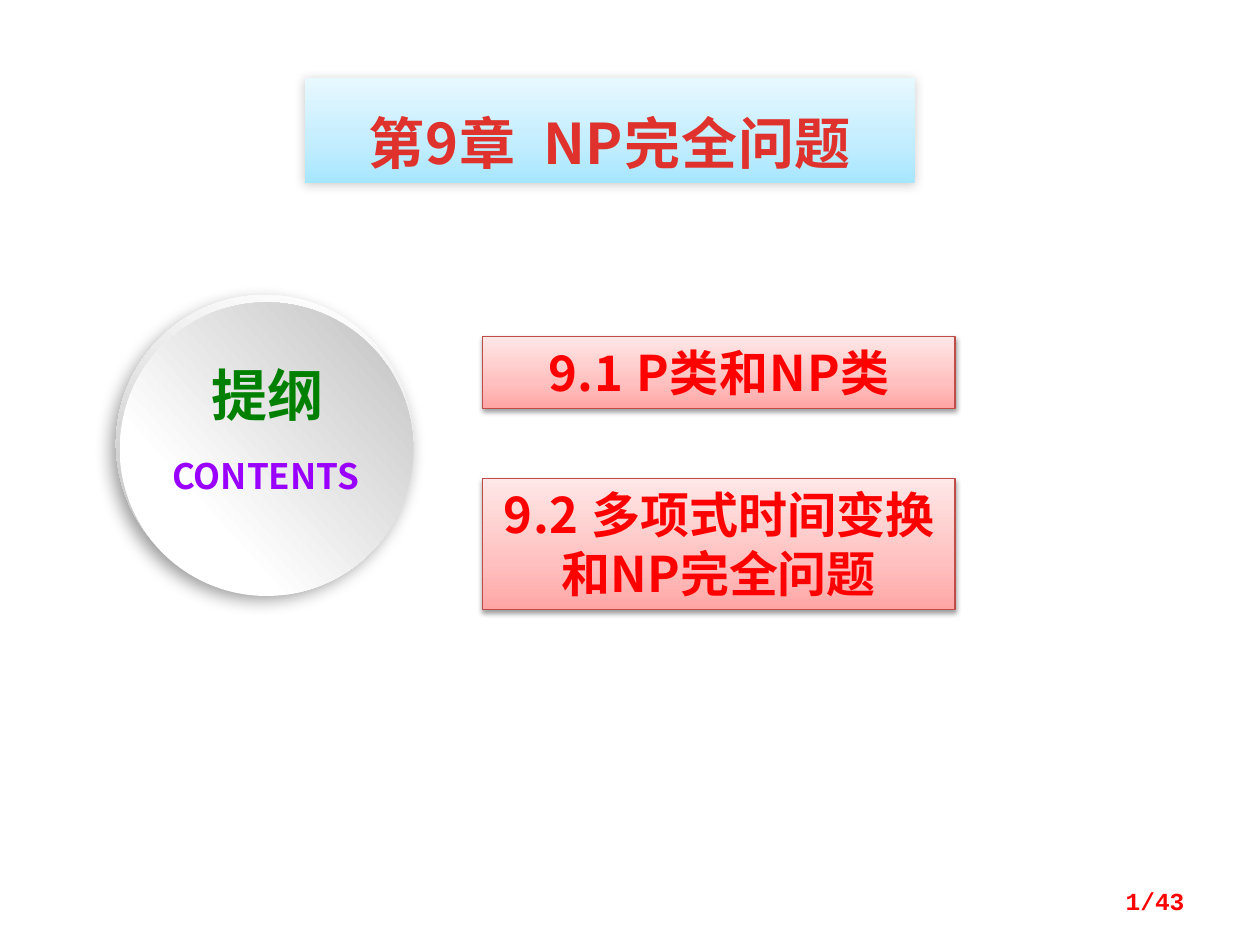
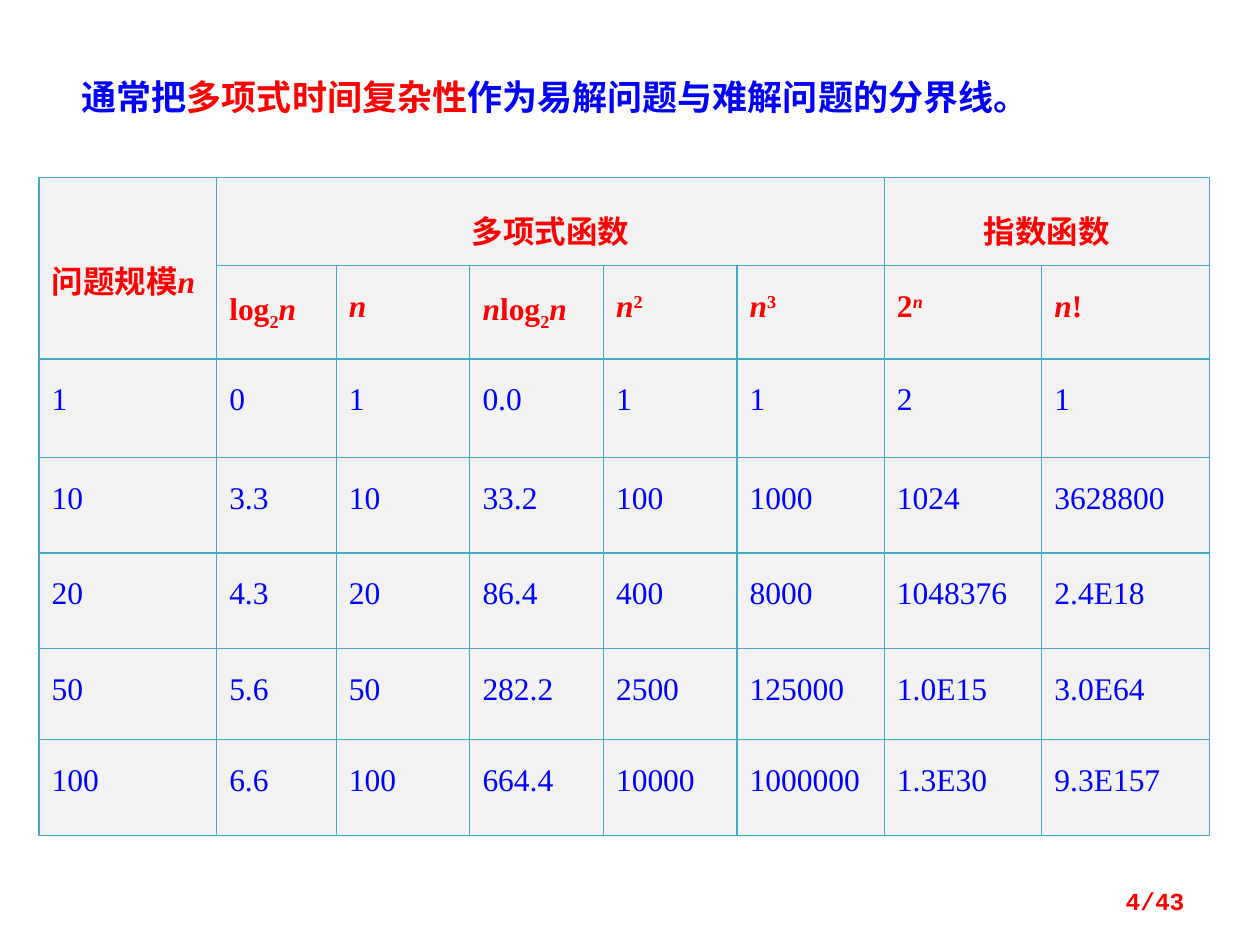
from lxml import etree
from pptx import Presentation
from pptx.dml.color import RGBColor
from pptx.enum.shapes import MSO_SHAPE
from pptx.enum.text import MSO_ANCHOR, MSO_AUTO_SIZE, PP_ALIGN
from pptx.oxml.ns import qn
from pptx.util import Inches, Pt

RECT, OVAL = MSO_SHAPE.RECTANGLE, MSO_SHAPE.OVAL
TOP, MIDDLE = MSO_ANCHOR.TOP, MSO_ANCHOR.MIDDLE
FIT = MSO_AUTO_SIZE.SHAPE_TO_FIT_TEXT
LEFT, CENTER, RIGHT, JUSTIFY = (
    PP_ALIGN.LEFT, PP_ALIGN.CENTER, PP_ALIGN.RIGHT, PP_ALIGN.JUSTIFY)

SANS, SERIF, MONO = "Noto Sans CJK SC", "Times New Roman", "Courier New"
RED, BLUE, GREEN, PURPLE = "FF0000", "0000FF", "008000", "9900FF"
TITLE_RED, CELL_GREY, GRID_TEAL = "E0322D", "F2F2F2", "46AAC5"
SKY_GRADIENT = [(0, "A7E6FF"), (35, "C1EDFF"), (100, "E7F8FF")]
ROSE_GRADIENT = [(0, "FFA6A5"), (35, "FFC0BF"), (100, "FFE7E7")]
PAGE_TOTAL = 43

HEADING = {"name": SANS, "size": 32, "bold": True, "color": TITLE_RED, "spc": 0.5}
SECTION = {"name": SANS, "size": 28, "bold": True, "color": RED, "spc": 0.5}
STATEMENT = {"name": SANS, "size": 20, "bold": True, "color": BLUE}
PAGE = {"name": MONO, "size": 14, "bold": True, "color": RED}
TABLE_HEAD = {"name": SERIF, "ea": SANS, "size": 18, "bold": True, "color": RED}
TABLE_BODY = {"name": SERIF, "size": 18, "bold": False, "color": BLUE}

ITALIC_N = ("n", {"italic": True})
LOG2 = [("log", {}), ("2", {"baseline": -25})]
FUNCTIONS = [
    LOG2 + [ITALIC_N],
    [ITALIC_N],
    [ITALIC_N] + LOG2 + [ITALIC_N],
    [ITALIC_N, ("2", {"baseline": 30})],
    [ITALIC_N, ("3", {"baseline": 30})],
    [("2", {}), ("n", {"italic": True, "baseline": 30})],
    [ITALIC_N, ("!", {})],
]
GROWTH = [
    ["1", "0", "1", "0.0", "1", "1", "2", "1"],
    ["10", "3.3", "10", "33.2", "100", "1000", "1024", "3628800"],
    ["20", "4.3", "20", "86.4", "400", "8000", "1048376", "2.4E18"],
    ["50", "5.6", "50", "282.2", "2500", "125000", "1.0E15", "3.0E64"],
    ["100", "6.6", "100", "664.4", "10000", "1000000", "1.3E30", "9.3E157"],
]
COLUMN_WIDTHS = [1.41, 0.95, 1.06, 1.06, 1.06, 1.17, 1.25, 1.33]
ROW_HEIGHTS = [0.7, 0.74, 0.78, 0.76, 0.76, 0.72, 0.76]


def rgb(value):
    """Turn a hex string into a colour."""
    return RGBColor.from_string(value)


def inches(box):
    """Turn a box of plain numbers into lengths."""
    return [Inches(length) for length in box]


def add_color(parent, value):
    """Append an RGB colour element and return it."""
    return etree.SubElement(parent, qn("a:srgbClr"), val=value)


def write(frame, runs, base, align=LEFT, line_spacing=None):
    """Write one paragraph of (text, format changes) runs."""
    paragraph = frame.paragraphs[0]
    paragraph.alignment = align
    if line_spacing:
        paragraph.line_spacing = line_spacing
    for text, changes in runs:
        style = {**base, **changes}
        run = paragraph.add_run()
        run.text = text
        font = run.font
        font.size = Pt(style["size"])
        font.color.rgb = rgb(style["color"])
        for attribute in ("name", "bold", "italic"):
            setattr(font, attribute, style.get(attribute))
        properties = run._r.get_or_add_rPr()
        etree.SubElement(properties, qn("a:ea"),
                         typeface=style.get("ea", style["name"]))
        for attribute, scale in (("baseline", 1000), ("spc", 100)):
            if attribute in style:
                properties.set(attribute, str(int(style[attribute] * scale)))


def add_label(slide, box, runs, base, align=LEFT, anchor=TOP):
    """Add a wrapped text box."""
    frame = slide.shapes.add_textbox(*inches(box)).text_frame
    frame.word_wrap = True
    frame.vertical_anchor = anchor
    write(frame, runs, base, align)


def add_shaded(slide, kind, box, stops, angle, shadow=None):
    """Add a shape with a gradient and an optional shadow."""
    shape = slide.shapes.add_shape(kind, *inches(box))
    shape.shadow.inherit = False
    shape.line.fill.background()
    shape.fill.gradient()
    shape.fill.gradient_angle = 360 - angle
    properties = shape._element.spPr
    stop_list = properties.find(qn("a:gradFill")).find(qn("a:gsLst"))
    for stop in list(stop_list):
        stop_list.remove(stop)
    for position, value in stops:
        add_color(etree.SubElement(stop_list, qn("a:gs"), pos=str(position * 1000)), value)
    if shadow:
        alpha, blur, distance, direction = shadow
        outer = etree.SubElement(
            properties.find(qn("a:effectLst")), qn("a:outerShdw"),
            blurRad=str(Pt(blur)), dist=str(Pt(distance)),
            dir=str(direction * 60000), algn="ctr", rotWithShape="0")
        etree.SubElement(add_color(outer, "000000"), qn("a:alpha"), val=str(alpha * 1000))
    return shape


def add_panel(slide, box, stops, shadow, runs, base, top_inset=0.05):
    """Add a gradient panel with centred text."""
    panel = add_shaded(slide, RECT, box, stops, 270, shadow)
    frame = panel.text_frame
    frame.word_wrap = True
    frame.auto_size = FIT
    frame.vertical_anchor = TOP
    frame.margin_top = Inches(top_inset)
    write(frame, runs, base, CENTER)
    return panel


def add_section(slide, box, runs):
    """Add an outlined section panel."""
    panel = add_panel(slide, box, ROSE_GRADIENT, (38, 3.1, 1.6, 90), runs, SECTION)
    panel.line.color.rgb = rgb("BF4C48")
    panel.line.width = Pt(0.75)


def add_contents_disc(slide, left, top):
    """Add the layered disc with its two captions."""
    rim = add_shaded(slide, OVAL, (left, top, 2.36, 2.36),
                     [(17, "FFFFFF"), (88, "B8B8B8")], 45, (39, 10, 5, 123))
    rim.rotation = 62.3
    face = add_shaded(slide, OVAL, (left + 0.03, top + 0.06, 2.33, 2.33),
                      [(29, "FFFFFF"), (98, "BFBFBF")], 45)
    face.rotation = 273
    caption = {"name": SANS, "bold": True}
    add_label(slide, (left + 0.27, top + 1.22, 1.84, 0.44), [("CONTENTS", {})],
              {**caption, "size": 20, "color": PURPLE}, CENTER)
    add_label(slide, (left + 0.43, top + 0.47, 1.54, 0.64), [("提纲", {})],
              {**caption, "size": 32, "color": GREEN}, CENTER)


def add_page_number(slide, number):
    """Add the page counter."""
    add_label(slide, (7.17, 6.95, 2.33, 0.4), [(f"{number}/{PAGE_TOTAL}", {})],
              PAGE, RIGHT, MIDDLE)


def style_cell(cell):
    """Give a cell its fill and four borders."""
    properties = cell._tc.get_or_add_tcPr()
    for side in ("lnL", "lnR", "lnT", "lnB"):
        border = etree.SubElement(properties, qn(f"a:{side}"), w=str(Pt(0.75)))
        add_color(etree.SubElement(border, qn("a:solidFill")), GRID_TEAL)
    cell.fill.solid()
    cell.fill.fore_color.rgb = rgb(CELL_GREY)


def add_growth_table(slide, left, top):
    """Add the table of growth rates."""
    box = (left, top, sum(COLUMN_WIDTHS), sum(ROW_HEIGHTS))
    table = slide.shapes.add_table(
        len(ROW_HEIGHTS), len(COLUMN_WIDTHS), *inches(box)).table
    table.first_row = table.horz_banding = False
    for column, width in zip(table.columns, COLUMN_WIDTHS):
        column.width = Inches(width)
    for row, height in zip(table.rows, ROW_HEIGHTS):
        row.height = Inches(height)
    for cell in table.iter_cells():
        style_cell(cell)
    for start, end in (((0, 0), (1, 0)), ((0, 1), (0, 5)), ((0, 6), (0, 7))):
        table.cell(*start).merge(table.cell(*end))

    size_cell = table.cell(0, 0)
    size_cell.vertical_anchor = MIDDLE
    write(size_cell.text_frame, [("问题规模", {}), ITALIC_N], TABLE_HEAD, JUSTIFY, 1.5)
    for column, family in ((1, "多项式函数"), (6, "指数函数")):
        write(table.cell(0, column).text_frame, [(family, {})], TABLE_HEAD, CENTER, 1.5)
    for column, runs in enumerate(FUNCTIONS, 1):
        write(table.cell(1, column).text_frame, runs, TABLE_HEAD, JUSTIFY, 1.5)
    for row, values in enumerate(GROWTH, 2):
        for column, value in enumerate(values):
            write(table.cell(row, column).text_frame, [(value, {})],
                  TABLE_BODY, JUSTIFY, 1.5)


def build_outline(slide):
    """Build the chapter outline."""
    chapter = [("第9章", {}), (" ", {"spc": 8}), ("NP完全问题", {})]
    add_panel(slide, (2.42, 0.62, 4.84, 0.83), SKY_GRADIENT, (20, 6, 1, 135),
              chapter, HEADING, 0.24)
    add_section(slide, (3.83, 2.67, 3.75, 0.57), [("9.1 P类和NP类", {})])
    add_section(slide, (3.83, 3.8, 3.75, 1.04),
                [("9.2 ", {}), ("多项式时间变换和NP完全问题", {"spc": 0})])
    add_contents_disc(slide, 0.92, 2.34)
    add_page_number(slide, 1)


def build_comparison(slide):
    """Build the comparison of polynomial and exponential growth."""
    add_label(slide, (0.55, 0.55, 8.59, 0.44),
              [("通常把", {}), ("多项式时间复杂性", {"color": RED}),
               ("作为易解问题与难解问题的分界线。", {})], STATEMENT)
    add_growth_table(slide, 0.31, 1.41)
    add_page_number(slide, 4)


def main():
    """Build and save the presentation."""
    deck = Presentation()
    deck.slide_width, deck.slide_height = Inches(10), Inches(7.5)
    for build in (build_outline, build_comparison):
        build(deck.slides.add_slide(deck.slide_layouts[6]))
    deck.save("out.pptx")


if __name__ == "__main__":
    main()
